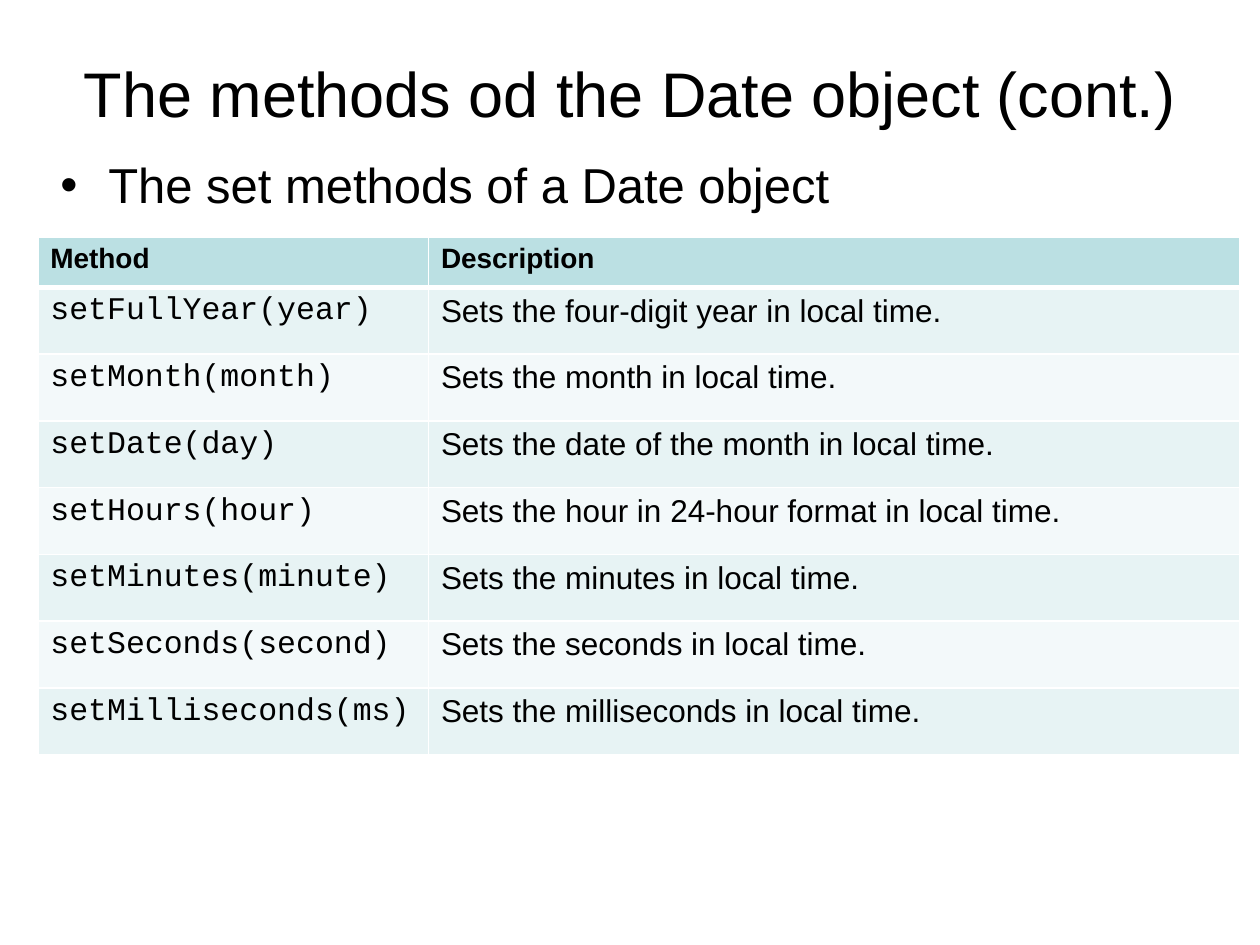
from lxml import etree
from pptx import Presentation
from pptx.dml.color import RGBColor
from pptx.enum.text import MSO_ANCHOR, MSO_AUTO_SIZE, PP_ALIGN
from pptx.oxml.ns import qn
from pptx.util import Inches, Pt

SANS, MONO = "Arial", "Courier New"
BLACK, WHITE = "000000", "FFFFFF"
HEADER_FILL, BAND_FILLS = "BBE0E3", ("E7F3F4", "F3F9FA")
COLUMN_WIDTHS = (3.1, 6.44)
HEADER_HEIGHT, ROW_HEIGHT = 0.4, 0.53

HEADINGS = ("Method", "Description")
SET_METHODS = [
    ("setFullYear(year)", "Sets the four-digit year in local time."),
    ("setMonth(month)", "Sets the month in local time."),
    ("setDate(day)", "Sets the date of the month in local time."),
    ("setHours(hour)", "Sets the hour in 24-hour format in local time."),
    ("setMinutes(minute)", "Sets the minutes in local time."),
    ("setSeconds(second)", "Sets the seconds in local time."),
    ("setMilliseconds(ms)", "Sets the milliseconds in local time."),
]


def color(hex_value):
    return RGBColor.from_string(hex_value)


def write(frame, text, size, font=SANS, bold=False):
    """Put one formatted run in the first paragraph and return the paragraph."""
    paragraph = frame.paragraphs[0]
    run = paragraph.add_run()
    run.text = text
    run.font.name, run.font.size, run.font.bold = font, Pt(size), bold
    run.font.color.rgb = color(BLACK)
    return paragraph


def place(shape, left, top, width, height):
    shape.left, shape.top = Inches(left), Inches(top)
    shape.width, shape.height = Inches(width), Inches(height)
    shape.text_frame.word_wrap = True
    shape.text_frame.auto_size = MSO_AUTO_SIZE.NONE
    return shape.text_frame


def fill_title(shape, text):
    frame = place(shape, 0.5, 0.3, 9, 0.87)
    frame.vertical_anchor = MSO_ANCHOR.MIDDLE
    write(frame, text, 36).alignment = PP_ALIGN.CENTER


def fill_bullet(shape, text):
    frame = place(shape, 0.38, 1.18, 9.5, 5.58)
    frame.vertical_anchor = MSO_ANCHOR.TOP
    paragraph = write(frame, text, 28)
    paragraph.alignment = PP_ALIGN.LEFT
    paragraph.space_before = Pt(5.6)
    properties = paragraph._p.get_or_add_pPr()
    properties.set("marL", str(Inches(0.38)))
    properties.set("indent", str(-Inches(0.38)))
    etree.SubElement(properties, qn("a:buFont"), typeface=SANS)
    etree.SubElement(properties, qn("a:buChar"), char="•")


def set_border(cell, side, width):
    line = etree.Element(qn(f"a:ln{side}"), w=str(Pt(width)))
    solid = etree.SubElement(line, qn("a:solidFill"))
    etree.SubElement(solid, qn("a:srgbClr"), val=WHITE)
    return line


def format_cell(cell, fill, top_width, bottom_width):
    cell.fill.solid()
    cell.fill.fore_color.rgb = color(fill)
    # Borders come before the fill in the cell properties
    widths = (("L", 1), ("R", 1), ("T", top_width), ("B", bottom_width))
    for index, (side, width) in enumerate(widths):
        cell._tc.get_or_add_tcPr().insert(index, set_border(cell, side, width))


def add_methods_table(slide):
    rows = [HEADINGS] + SET_METHODS
    height = HEADER_HEIGHT + ROW_HEIGHT * len(SET_METHODS)
    table = slide.shapes.add_table(
        len(rows), len(HEADINGS), Inches(0.3), Inches(1.88),
        Inches(sum(COLUMN_WIDTHS)), Inches(height)).table
    for column, width in zip(table.columns, COLUMN_WIDTHS):
        column.width = Inches(width)
    for r, row in enumerate(rows):
        header = r == 0
        table.rows[r].height = Inches(HEADER_HEIGHT if header else ROW_HEIGHT)
        fill = HEADER_FILL if header else BAND_FILLS[(r - 1) % 2]
        for c, text in enumerate(row):
            cell = table.cell(r, c)
            font = MONO if c == 0 and not header else SANS
            write(cell.text_frame, text, 16 if header else 18, font, header)
            format_cell(cell, fill, 3 if r == 1 else 1, 3 if header else 1)


def main():
    presentation = Presentation()
    presentation.slide_width, presentation.slide_height = Inches(10), Inches(7.5)
    slide = presentation.slides.add_slide(presentation.slide_layouts[1])
    slide.background.fill.solid()
    slide.background.fill.fore_color.rgb = color(WHITE)

    # Title, bullet and table
    fill_title(slide.shapes.title, "The methods od the Date object (cont.)")
    fill_bullet(slide.placeholders[1], "The set methods of a Date object")
    add_methods_table(slide)
    presentation.save("out.pptx")


main()
